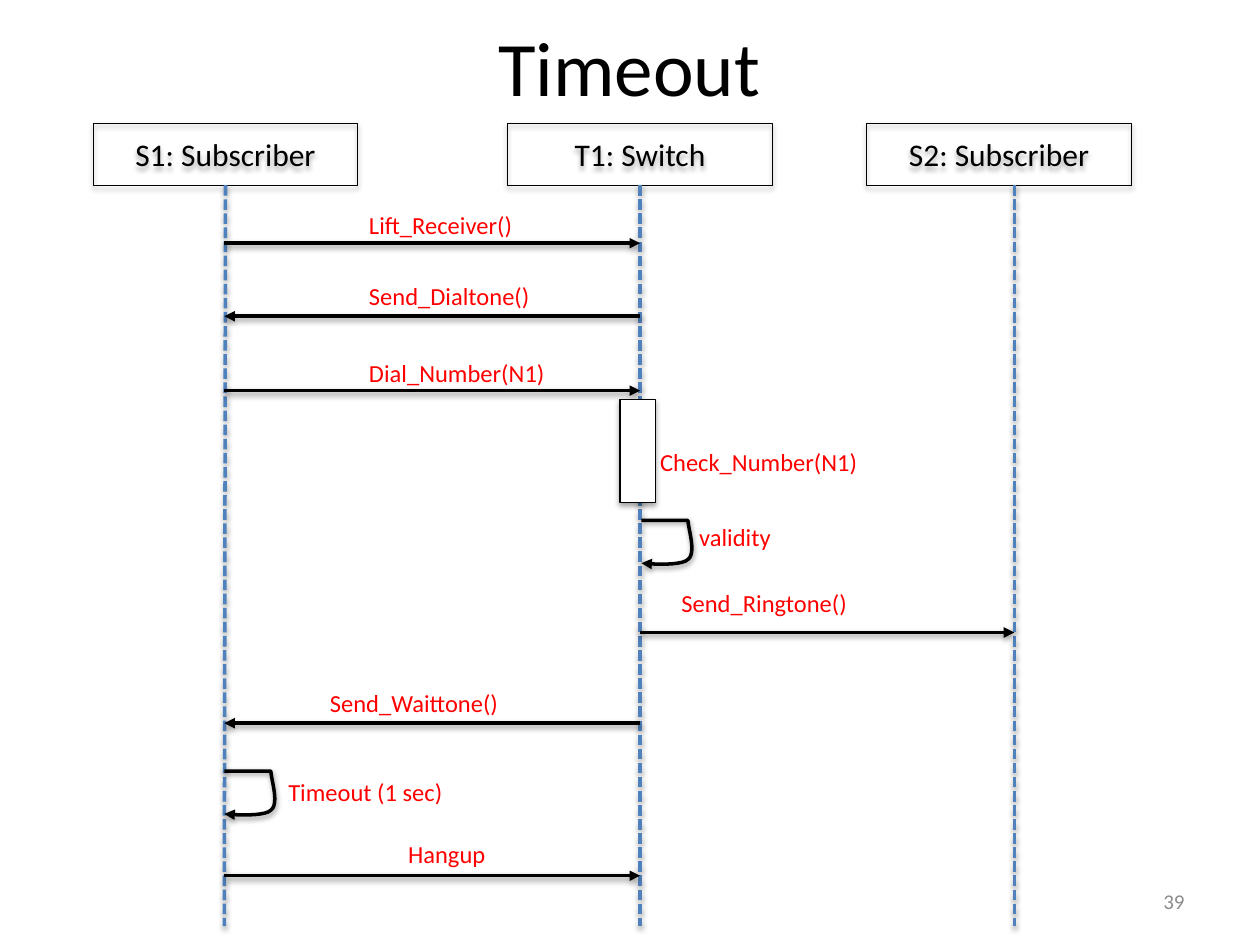
from lxml import etree
from pptx import Presentation
from pptx import util as u
from pptx.dml.color import RGBColor
from pptx.enum import dml, shapes, text
from pptx.oxml import ns

BLACK, WHITE, RED, BLUE, GREY = "000000", "FFFFFF", "FF0000", "4F81BD", "8C8C8C"
CALLER, SWITCH, CALLEE = 1.78, 5.08, 8.05
LIFELINE_TOP, LIFELINE_END = 1.47, 7.35
HEAD_WIDTH, HEAD_HEIGHT = 2.1, 0.49
HEADS = [
    ("S1: Subscriber", 0.74, CALLER),
    ("T1: Switch", 4.03, SWITCH),
    ("S2: Subscriber", 6.88, CALLEE),
]
MESSAGES = [
    ("Lift_Receiver()", CALLER, SWITCH, 1.93, (2.83, 1.62, 1.35)),
    ("Send_Dialtone()", SWITCH, CALLER, 2.51, (2.83, 2.18, 1.49)),
    ("Dial_Number(N1)", CALLER, SWITCH, 3.1, (2.83, 2.79, 1.61)),
    ("Send_Ringtone()", SWITCH, CALLEE, 5.02, (5.31, 4.62, 1.53)),
    ("Send_Waittone()", SWITCH, CALLER, 5.74, (2.52, 5.41, 1.56)),
    ("Hangup", CALLER, SWITCH, 6.95, (3.14, 6.61, 0.82)),
]
SELF_MESSAGES = [
    ("validity", SWITCH + 0.01, 4.13, (5.45, 4.09, 0.78)),
    ("Timeout (1 sec)", CALLER, 6.12, (2.19, 6.12, 1.43)),
]


def color(value):
    """Turn a hex string into a colour."""
    return RGBColor.from_string(value)


def inches(*lengths):
    """Turn numbers into lengths in inches."""
    return [u.Inches(length) for length in lengths]


def write(frame, words, size=14, fill=BLACK, align=text.PP_ALIGN.LEFT,
          anchor=text.MSO_ANCHOR.TOP, wrap=True):
    """Put formatted words in a text frame."""
    frame.word_wrap = wrap
    frame.vertical_anchor = anchor
    para = frame.paragraphs[0]
    para.alignment = align
    span = para.add_run()
    span.text = words
    span.font.name = "Calibri"
    span.font.size = u.Pt(size)
    span.font.color.rgb = color(fill)


def add_text(page, words, area, **style):
    """Add a text box."""
    box = page.shapes.add_textbox(*inches(*area))
    write(box.text_frame, words, **style)
    return box


def add_label(page, words, left, top, width):
    """Add a red message label."""
    box = add_text(page, words, (left, top, width, 0.34), fill=RED, wrap=False)
    box.text_frame.auto_size = text.MSO_AUTO_SIZE.SHAPE_TO_FIT_TEXT


def cast_shadow(shape, alpha, distance):
    """Give a shape a soft shadow straight below it."""
    effects = etree.SubElement(shape._element.spPr, ns.qn("a:effectLst"))
    shadow = etree.SubElement(
        effects, ns.qn("a:outerShdw"), blurRad=str(u.Pt(3.1)),
        dist=str(u.Pt(distance)), dir="5400000", rotWithShape="0")
    shade = etree.SubElement(shadow, ns.qn("a:srgbClr"), val=BLACK)
    etree.SubElement(shade, ns.qn("a:alpha"), val=str(alpha * 1000))


def style_line(shape, stroke=BLACK, arrow=False, dash=None):
    """Format a line or an open outline."""
    shape.line.color.rgb = color(stroke)
    shape.line.width = u.Pt(2)
    if dash:
        shape.line.dash_style = dash
    if arrow:
        etree.SubElement(shape.line._get_or_add_ln(), ns.qn("a:tailEnd"), type="triangle")
    cast_shadow(shape, 38, 1.6)


def add_line(page, start, end, **style):
    """Add a straight connector."""
    line = page.shapes.add_connector(
        shapes.MSO_CONNECTOR.STRAIGHT, *inches(*start, *end))
    style_line(line, **style)
    return line


def add_block(page, area, fill=None):
    """Add a thinly outlined rectangle."""
    block = page.shapes.add_shape(shapes.MSO_SHAPE.RECTANGLE, *inches(*area))
    if fill:
        block.fill.solid()
        block.fill.fore_color.rgb = color(fill)
    else:
        block.fill.background()
    block.line.color.rgb = color(BLACK)
    block.line.width = u.Pt(0.75)
    cast_shadow(block, 35, 1.8)
    return block


def add_participant(page, name, left, center):
    """Add a participant's head and its lifeline."""
    head = add_block(page, (left, LIFELINE_TOP - HEAD_HEIGHT, HEAD_WIDTH, HEAD_HEIGHT))
    write(head.text_frame, name, size=18, align=text.PP_ALIGN.CENTER,
          anchor=text.MSO_ANCHOR.MIDDLE)
    lifeline = add_line(page, (center, LIFELINE_TOP), (center, LIFELINE_END),
                        stroke=BLUE, dash=dml.MSO_LINE.SQUARE_DOT)
    if abs(left + HEAD_WIDTH / 2 - center) < 0.02:
        lifeline.begin_connect(head, 2)


def add_message(page, words, sender, receiver, top, label):
    """Add an arrow between two lifelines and its label."""
    add_line(page, (sender, top), (receiver, top), arrow=True)
    add_label(page, words, *label)


def curve(points, steps=12):
    """List the points along a cubic curve."""
    weights = (1, 3, 3, 1)
    return [
        tuple(sum(weight * (1 - step / steps) ** (3 - i) * (step / steps) ** i * point[axis]
                  for i, (weight, point) in enumerate(zip(weights, points)))
              for axis in (0, 1))
        for step in range(1, steps + 1)
    ]


def add_self_message(page, words, left, top, label):
    """Add an arrow that loops back to its own lifeline."""
    corner, bend, end = (0.37, 0), (0.37, 0.31), (0, 0.34)
    outline = [corner]
    outline += curve([corner, (0.37, 0.06), (0.44, 0.26), bend])
    outline += curve([bend, (0.31, 0.37), end, end])
    builder = page.shapes.build_freeform(*inches(left, top), scale=1.0)
    builder.add_line_segments(
        [inches(left + x, top + y) for x, y in outline], close=False)
    loop = builder.convert_to_shape()
    loop.fill.background()
    style_line(loop, arrow=True)
    add_label(page, words, *label)


def add_activation(page, words, area, label):
    """Add an activation bar and its label."""
    add_block(page, area, fill=WHITE)
    add_label(page, words, *label)


def main():
    """Build the sequence diagram."""
    deck = Presentation()
    deck.slide_width, deck.slide_height = inches(10, 7.5)
    page = deck.slides.add_slide(deck.slide_layouts[6])
    add_text(page, "Timeout", (2.83, -0.1, 4.33, 1.25), size=44,
             align=text.PP_ALIGN.CENTER, anchor=text.MSO_ANCHOR.MIDDLE)
    add_text(page, "39", (7.17, 6.95, 2.33, 0.4), size=12, fill=GREY,
             align=text.PP_ALIGN.RIGHT, anchor=text.MSO_ANCHOR.MIDDLE)
    for head in HEADS:
        add_participant(page, *head)
    for message in MESSAGES:
        add_message(page, *message)
    add_activation(page, "Check_Number(N1)", (4.92, 3.17, 0.28, 0.82), (5.14, 3.5, 1.78))
    for message in SELF_MESSAGES:
        add_self_message(page, *message)
    deck.save("out.pptx")


if __name__ == "__main__":
    main()
